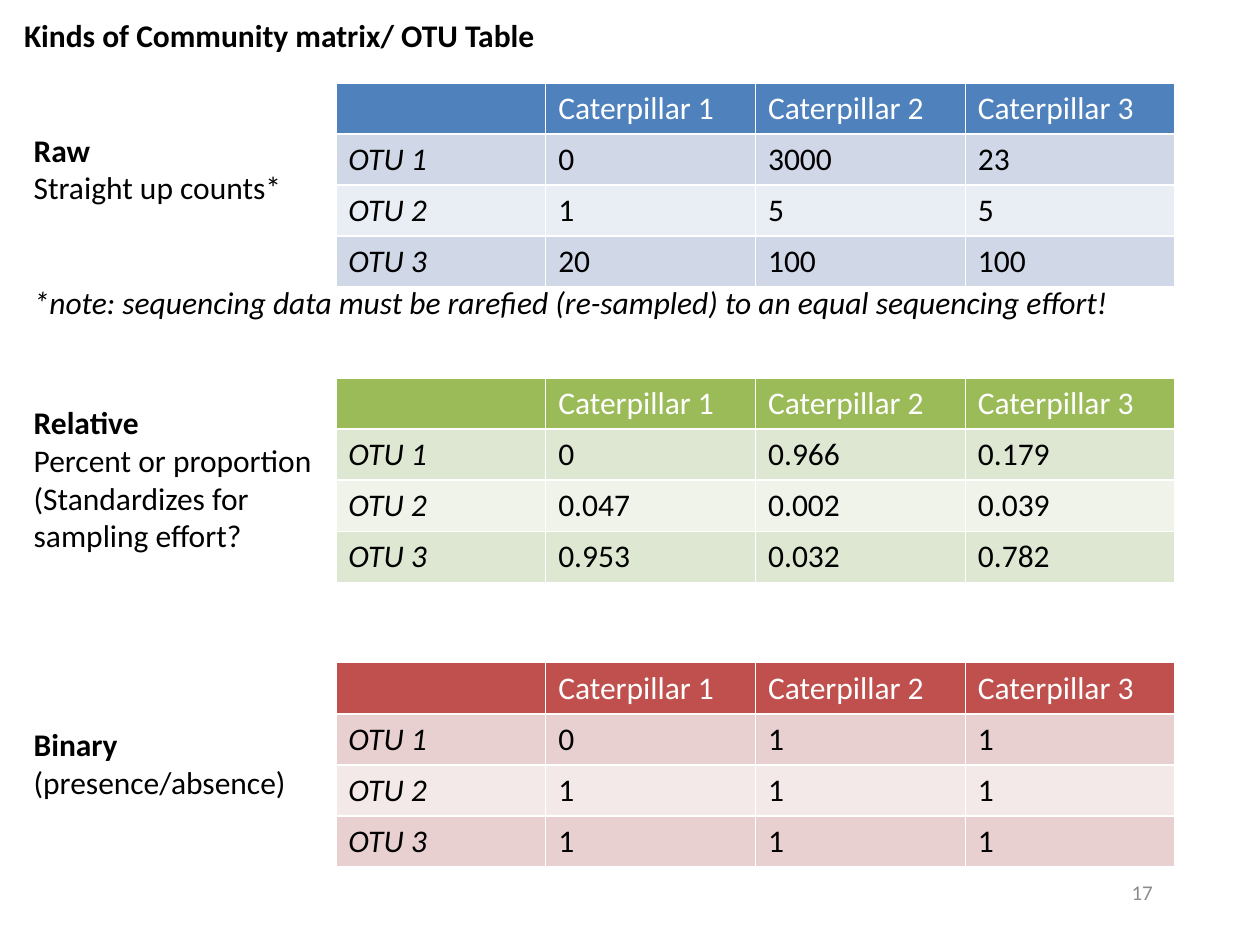
import pptx
import pptx.util
import pptx.dml.color
import pptx.enum.text
from pptx.util import Cm

PP_ALIGN = pptx.enum.text.PP_ALIGN
ANCHOR = pptx.enum.text.MSO_ANCHOR
AUTO_SIZE = pptx.enum.text.MSO_AUTO_SIZE

# Theme: header fill and the two band fills per table, text colours, sizes
THEME = {
    "font": "Calibri", "body": 18, "small": 12,
    "ink": "000000", "white": "FFFFFF", "grey": "8C8C8C",
    "blue": ("4F81BD", "D0D8E8", "E9EDF4"),
    "green": ("9BBB59", "DEE7D1", "EFF3EA"),
    "red": ("C0504D", "E8D0D0", "F4E9E9"),
}

# Content
TITLE = "Kinds of Community matrix/ OTU Table"
HEADER = ["", "Caterpillar 1", "Caterpillar 2", "Caterpillar 3"]
TABLES = [  # top in cm, palette, values
    (1.67, "blue", [["OTU 1", "0", "3000", "23"],
                    ["OTU 2", "1", "5", "5"],
                    ["OTU 3", "20", "100", "100"]]),
    (7.62, "green", [["OTU 1", "0", "0.966", "0.179"],
                     ["OTU 2", "0.047", "0.002", "0.039"],
                     ["OTU 3", "0.953", "0.032", "0.782"]]),
    (13.36, "red", [["OTU 1", "0", "1", "1"],
                    ["OTU 2", "1", "1", "1"],
                    ["OTU 3", "1", "1", "1"]]),
]
NOTE = ("*note: sequencing data must be rarefied (re-sampled) "
        "to an equal sequencing effort!")
LABELS = [  # top, width, height in cm, wrap, paragraphs with their format
    (2.51, 22.56, 4.11, False, [("Raw", {"bold": True}),
                                ("Straight up counts*", {}),
                                (NOTE, {"italic": True, "before": 44})]),
    (8.0, 6.17, 3.33, True, [("Relative", {"bold": True}),
                             ("Percent or proportion", {}),
                             ("(Standardizes for sampling effort?", {})]),
    (14.5, 5.64, 1.8, False, [("Binary", {"bold": True}),
                              ("(presence/absence)", {})]),
]
PAGE = "17"

# Layout in cm
TABLE_LEFT, COL_W, ROW_H = 6.77, 4.23, 1.03
LABEL_LEFT = 0.43


def rgb(value):
    return pptx.dml.color.RGBColor.from_string(value)


def write(tf, text, size=THEME["body"], color=THEME["ink"], bold=False,
          italic=False, align=PP_ALIGN.LEFT, before=0):
    """Fill the first paragraph if it is empty, otherwise add one."""
    p = tf.add_paragraph() if tf.text else tf.paragraphs[0]
    p.alignment = align
    p.space_before = pptx.util.Pt(before)
    r = p.add_run()
    r.text = text
    r.font.name = THEME["font"]
    r.font.size = pptx.util.Pt(size)
    r.font.bold = bold
    r.font.italic = italic
    r.font.color.rgb = rgb(color)


def add_otu_table(s, top, palette, values):
    head, *bands = THEME[palette]
    rows = [HEADER] + values
    table = s.shapes.add_table(
        len(rows), len(HEADER), Cm(TABLE_LEFT), Cm(top),
        Cm(COL_W * len(HEADER)), Cm(ROW_H * len(rows))).table
    for i, row in enumerate(rows):
        for j, text in enumerate(row):
            cell = table.cell(i, j)
            cell.fill.solid()
            cell.fill.fore_color.rgb = rgb(bands[(i - 1) % 2] if i else head)
            if text:
                write(cell.text_frame, text, italic=i > 0 and j == 0,
                      color=THEME["ink"] if i else THEME["white"])


def main():
    prs = pptx.Presentation()
    prs.slide_width, prs.slide_height = Cm(25.4), Cm(19.05)
    s = prs.slides.add_slide(prs.slide_layouts[5])

    # Title
    sp = s.shapes.title
    sp.left, sp.top, sp.width, sp.height = Cm(0.23), Cm(0.2), Cm(10.92), Cm(1.02)
    tf = sp.text_frame
    tf.word_wrap = False
    tf.auto_size = AUTO_SIZE.NONE
    tf.vertical_anchor = ANCHOR.TOP
    write(tf, TITLE, bold=True)

    # Tables
    for top, palette, values in TABLES:
        add_otu_table(s, top, palette, values)

    # Labels beside the tables
    for top, width, height, wrap, paragraphs in LABELS:
        tf = s.shapes.add_textbox(
            Cm(LABEL_LEFT), Cm(top), Cm(width), Cm(height)).text_frame
        tf.word_wrap = wrap
        for text, style in paragraphs:
            write(tf, text, **style)

    # Page number
    tf = s.shapes.add_textbox(Cm(18.2), Cm(17.36), Cm(5.29), Cm(1.27)).text_frame
    tf.word_wrap = True
    tf.vertical_anchor = ANCHOR.MIDDLE
    write(tf, PAGE, size=THEME["small"], color=THEME["grey"],
          align=PP_ALIGN.RIGHT)

    prs.save("out.pptx")


if __name__ == "__main__":
    main()
